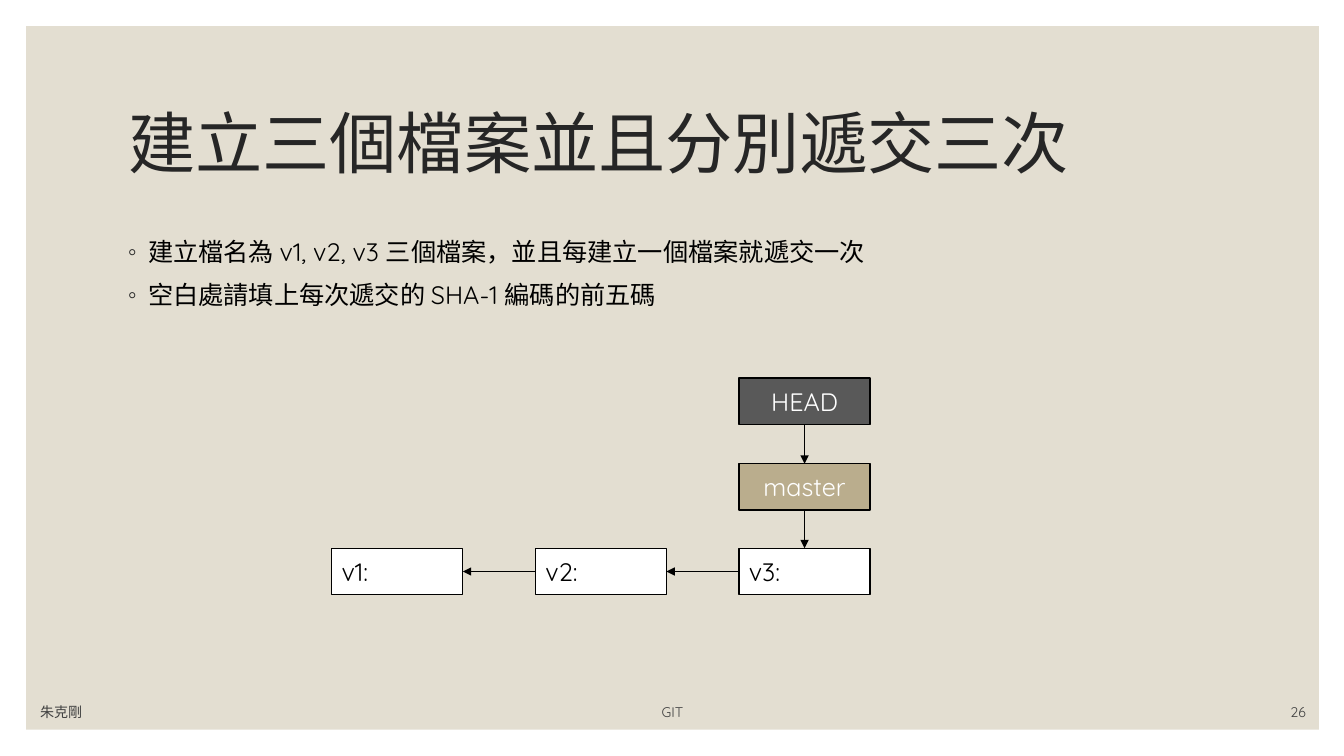
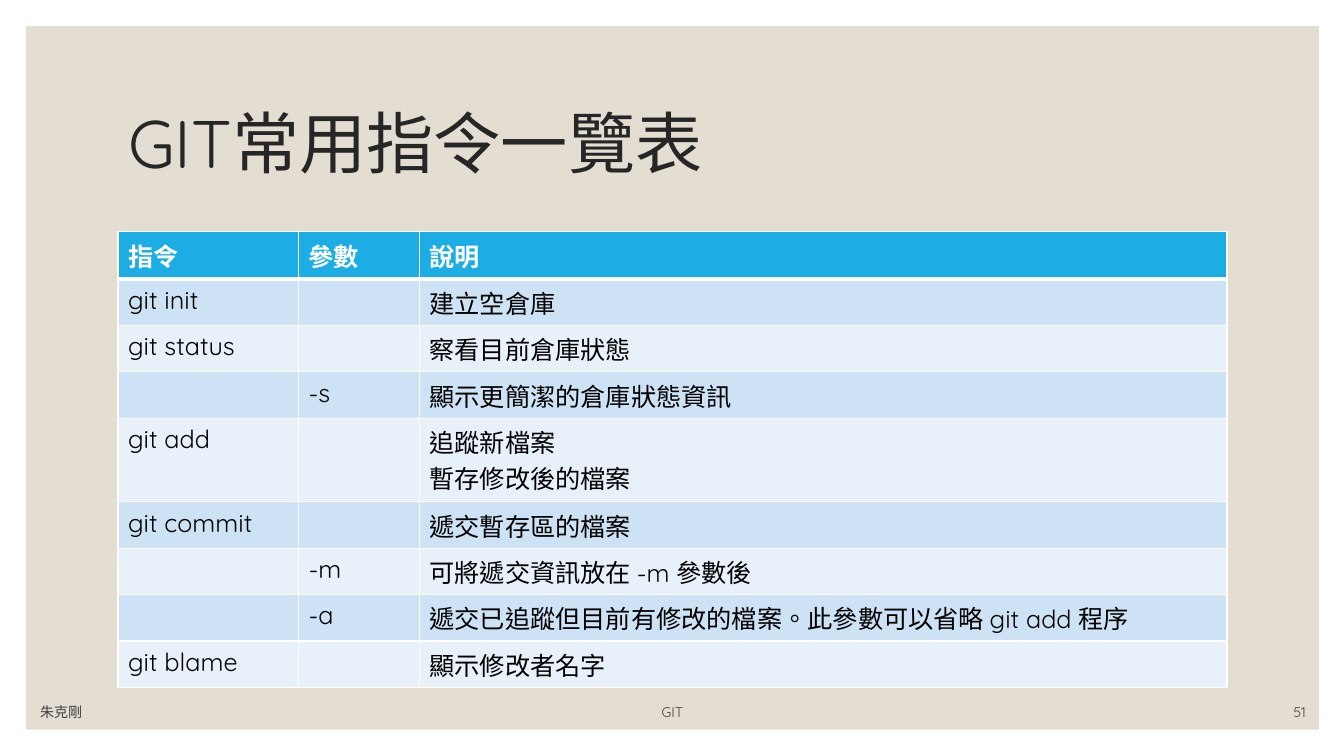
from dataclasses import dataclass

from lxml import etree
from pptx import Presentation, util as u
from pptx.dml.color import RGBColor
from pptx.enum import shapes, text
from pptx.oxml.ns import qn

# Content
AUTHOR, COURSE = "朱克剛", "GIT"
COMMIT_TITLE, COMMIT_NUMBER = "建立三個檔案並且分別遞交三次", "26"
COMMIT_POINTS = [
    "建立檔名為 v1, v2, v3 三個檔案，並且每建立一個檔案就遞交一次",
    "空白處請填上每次遞交的 SHA-1 編碼的前五碼",
]
# name: (label, column, row, style)
NODES = {
    "v1": ("v1:", 0, 2, "commit"),
    "v2": ("v2:", 1, 2, "commit"),
    "v3": ("v3:", 2, 2, "commit"),
    "head": ("HEAD", 2, 0, "head"),
    "master": ("master", 2, 1, "branch"),
}
TOP, LEFT, BOTTOM, RIGHT = range(4)
ARROWS = [
    ("v2", LEFT, "v1", RIGHT),
    ("v3", LEFT, "v2", RIGHT),
    ("head", BOTTOM, "master", TOP),
    ("master", BOTTOM, "v3", TOP),
]
TABLE_TITLE, TABLE_NUMBER = "GIT常用指令一覽表", "51"
COMMANDS = [
    ("指令", "參數", "說明"),
    ("git init", "", "建立空倉庫"),
    ("git status", "", "察看目前倉庫狀態"),
    ("", "-s", "顯示更簡潔的倉庫狀態資訊"),
    ("git add", "", "追蹤新檔案\n暫存修改後的檔案"),
    ("git commit", "", "遞交暫存區的檔案"),
    ("", "-m", "可將遞交資訊放在 -m 參數後"),
    ("", "-a", "遞交已追蹤但目前有修改的檔案。此參數可以省略 git add 程序"),
    ("git blame", "", "顯示修改者名字"),
]


@dataclass(frozen=True)
class Theme:
    font: str = "Quicksand"
    bullet_font: str = "Arial"
    title_size: int = 48
    body_size: int = 18
    footer_size: int = 10
    band: str = "E3DED1"
    title: str = "262626"
    footer: str = "404040"
    black: str = "000000"
    white: str = "FFFFFF"
    head: str = "595959"
    branch: str = "BAAD8D"
    table_head: str = "1CADE4"
    table_rows: tuple = ("CDE3F5", "E8F1FA")


THEME = Theme()
ALIGN = text.PP_ALIGN
# style: (fill, text colour, alignment)
NODE_STYLES = {
    "commit": (THEME.white, THEME.black, ALIGN.LEFT),
    "head": (THEME.head, THEME.white, ALIGN.CENTER),
    "branch": (THEME.branch, THEME.white, ALIGN.CENTER),
}

# Geometry in px
SCALE = 9144
PAGE = (1333, 750)
BAND = (26, 26, 1282, 698)
TITLE = (117, 71, 1100, 150)
BODY = (117, 230, 1100, 430)
FOOTER_TOP, FOOTER_HEIGHT = 690, 30
NODE_SIZE = (130, 46)
NODE_LEFTS, NODE_TOPS = (329, 531, 733), (375, 460, 544)
COLUMNS = (179, 120, 801)
HEADER_HEIGHT, ROW_HEIGHT, EXTRA_LINE = 47, 46, 37
INDENT = 20


def px(*lengths):
    return [u.Emu(length * SCALE) for length in lengths]


def rgb(value):
    return RGBColor.from_string(value)


def write(frame, words, size, color, align=ALIGN.LEFT, bold=False, language=None):
    frame.word_wrap = True
    frame.text = words
    for para in frame.paragraphs:
        para.alignment = align
        for span in para.runs:
            span.font.name, span.font.size = THEME.font, u.Pt(size)
            span.font.bold, span.font.color.rgb = bold, rgb(color)
            if language:
                span.font._element.set("lang", language)


def add_box(page, area, fill, line=None):
    box = page.shapes.add_shape(shapes.MSO_SHAPE.RECTANGLE, *px(*area))
    box.shadow.inherit = False
    box.fill.solid()
    box.fill.fore_color.rgb = rgb(fill)
    if line:
        box.line.color.rgb, box.line.width = rgb(line), u.Pt(1)
    else:
        box.line.fill.background()
    return box


def add_band(page):
    """Place the shared background band on the page's layout."""
    band = add_box(page, BAND, THEME.band)._element
    band.nvSpPr.cNvPr.set("id", "99")
    page.slide_layout.shapes._spTree.insert(2, band)


def add_page(deck, title, number):
    page = deck.slides.add_slide(deck.slide_layouts[5])
    heading = page.shapes.title
    heading.left, heading.top, heading.width, heading.height = px(*TITLE)
    write(heading.text_frame, title, THEME.title_size, THEME.title)
    heading.text_frame.vertical_anchor = text.MSO_ANCHOR.MIDDLE
    heading.text_frame.paragraphs[0].line_spacing = 0.9
    # Footer
    for words, left, width, align in (
        (AUTHOR, 30, 300, ALIGN.LEFT),
        (COURSE, 382, 570, ALIGN.CENTER),
        (number, 1145, 160, ALIGN.RIGHT),
    ):
        box = page.shapes.add_textbox(*px(left, FOOTER_TOP, width, FOOTER_HEIGHT))
        write(box.text_frame, words, THEME.footer_size, THEME.footer, align)
        box.text_frame.vertical_anchor = text.MSO_ANCHOR.BOTTOM
    return page


def add_points(page, points):
    frame = page.shapes.add_textbox(*px(*BODY)).text_frame
    write(frame, "\n".join(points), THEME.body_size, THEME.black)
    for index, para in enumerate(frame.paragraphs):
        if index:
            para.space_before = u.Pt(9)
        props = para._p.get_or_add_pPr()
        props.set("marL", str(INDENT * SCALE))
        props.set("indent", str(-INDENT * SCALE))
        color = etree.SubElement(props, qn("a:buClr"))
        etree.SubElement(color, qn("a:srgbClr"), val=THEME.title)
        etree.SubElement(props, qn("a:buFont"), typeface=THEME.bullet_font)
        etree.SubElement(props, qn("a:buChar"), char="◦")


def add_arrow(page, start, start_side, end, end_side):
    arrow = page.shapes.add_connector(shapes.MSO_CONNECTOR.STRAIGHT, 0, 0, 0, 0)
    arrow.begin_connect(start, start_side)
    arrow.end_connect(end, end_side)
    arrow.line.color.rgb, arrow.line.width = rgb(THEME.black), u.Pt(0.5)
    etree.SubElement(arrow.line._get_or_add_ln(), qn("a:tailEnd"), type="triangle")
    etree.SubElement(arrow._element.spPr, qn("a:effectLst"))


def add_diagram(page):
    boxes = {}
    for name, (label, column, row, style) in NODES.items():
        fill, color, align = NODE_STYLES[style]
        area = (NODE_LEFTS[column], NODE_TOPS[row], *NODE_SIZE)
        box = add_box(page, area, fill, THEME.black)
        write(box.text_frame, label, THEME.body_size, color, align)
        box.text_frame.vertical_anchor = text.MSO_ANCHOR.MIDDLE
        boxes[name] = box
    for start, start_side, end, end_side in ARROWS:
        add_arrow(page, boxes[start], start_side, boxes[end], end_side)


def set_borders(cell, bottom):
    props = cell._tc.get_or_add_tcPr()
    sides = {"a:lnL": 1, "a:lnR": 1, "a:lnT": 1, "a:lnB": bottom}
    for index, (side, width) in enumerate(sides.items()):
        line = etree.Element(qn(side), w=str(u.Pt(width)))
        fill = etree.SubElement(line, qn("a:solidFill"))
        etree.SubElement(fill, qn("a:srgbClr"), val=THEME.white)
        props.insert(index, line)


def add_commands(page):
    left, top = BODY[:2]
    heights = [HEADER_HEIGHT] + [
        ROW_HEIGHT + EXTRA_LINE * entries[-1].count("\n") for entries in COMMANDS[1:]
    ]
    area = px(left, top, sum(COLUMNS), sum(heights))
    table = page.shapes.add_table(len(COMMANDS), len(COLUMNS), *area).table
    for column, width in zip(table.columns, px(*COLUMNS)):
        column.width = width
    for line, height in zip(table.rows, px(*heights)):
        line.height = height
    for row, entries in enumerate(COMMANDS):
        header = row == 0
        fill = THEME.table_head if header else THEME.table_rows[(row - 1) % 2]
        color = THEME.white if header else THEME.black
        for column, words in enumerate(entries):
            cell = table.cell(row, column)
            cell.fill.solid()
            cell.fill.fore_color.rgb = rgb(fill)
            write(cell.text_frame, words, THEME.body_size, color,
                  bold=header, language="zh-TW")
            set_borders(cell, 3 if header else 1)


def main():
    deck = Presentation()
    deck.slide_width, deck.slide_height = px(*PAGE)

    # Three commits
    page = add_page(deck, COMMIT_TITLE, COMMIT_NUMBER)
    add_band(page)
    add_points(page, COMMIT_POINTS)
    add_diagram(page)

    # Command table
    page = add_page(deck, TABLE_TITLE, TABLE_NUMBER)
    add_commands(page)

    deck.save("out.pptx")


if __name__ == "__main__":
    main()
